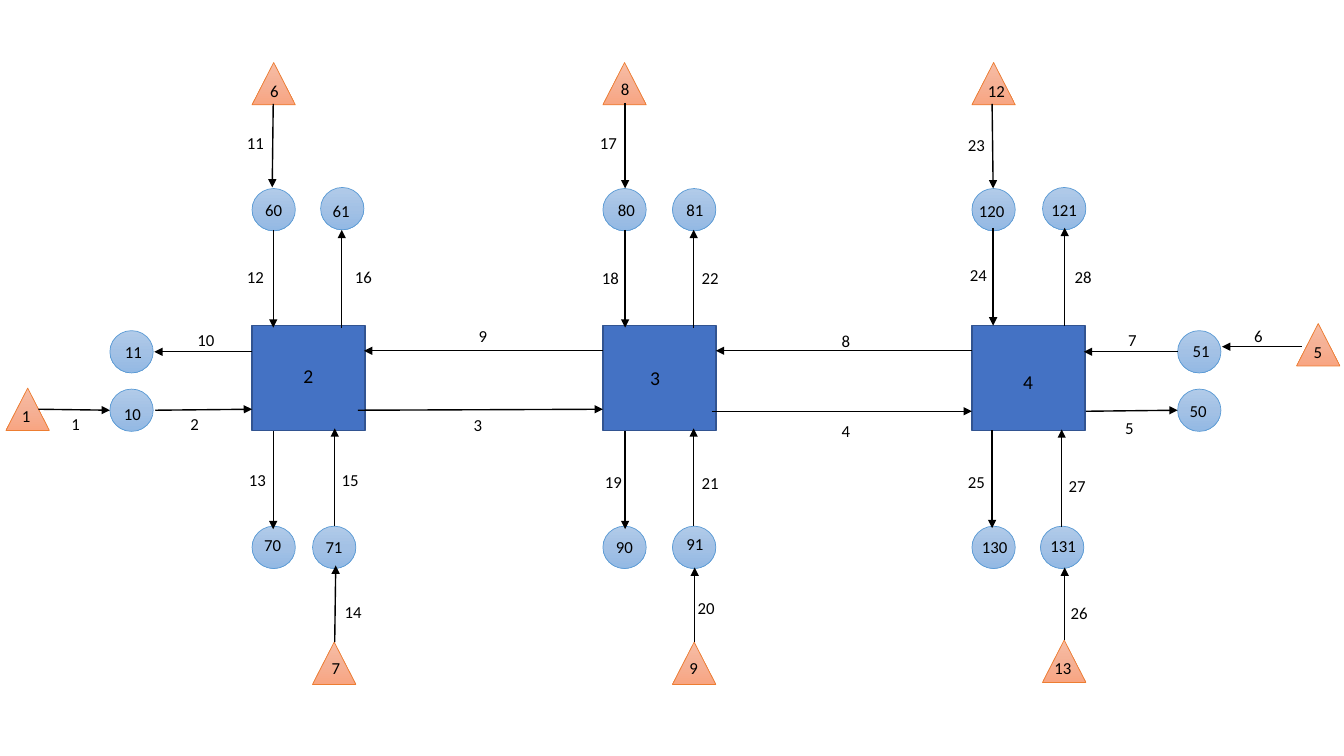
"""Build a slide with a numbered network of junctions, nodes and sources."""
from copy import deepcopy
from typing import NamedTuple

from lxml.etree import SubElement
from pptx import Presentation
from pptx.dml.color import RGBColor
from pptx.enum.shapes import MSO_CONNECTOR, MSO_SHAPE as SHAPE
from pptx.enum.text import MSO_AUTO_SIZE
from pptx.oxml.ns import qn
from pptx.util import Emu, Pt

PX = 9144
LABEL_WIDTHS = {1: 23, 2: 42, 3: 56}


class Style(NamedTuple):
    shape: SHAPE
    w: int
    h: int
    fills: tuple[str, ...]
    line: str
    weight: float
    size: int = 12


class Node(NamedTuple):
    style: Style
    x: int
    y: int
    text: str
    tx: int
    ty: int


class Link(NamedTuple):
    x1: int
    y1: int
    x2: int
    y2: int
    tx: int
    ty: int


SQUARE = Style(SHAPE.RECTANGLE, 112, 104, ("4472C4",), "325491", 1, 14)
CIRCLE = Style(SHAPE.FLOWCHART_CONNECTOR, 43, 42, ("B1CBE9", "A3C1E5", "93B9E4"), "5B9BD5", 0.5)
TRIANGLE = Style(SHAPE.ISOSCELES_TRIANGLE, 43, 42, ("F7BDA5", "F5B196", "F8A582"), "ED7D31", 0.5)

NODES = [
    Node(SQUARE, 250, 323, "2", 291, 356),
    Node(SQUARE, 598, 323, "3", 635, 358),
    Node(SQUARE, 964, 323, "4", 1005, 362),
    Node(CIRCLE, 109, 386, "10", 113, 396),
    Node(CIRCLE, 109, 328, "11", 114, 334),
    Node(CIRCLE, 1168, 386, "50", 1170, 393),
    Node(CIRCLE, 1168, 328, "51", 1173, 333),
    Node(CIRCLE, 250, 187, "60", 253, 193),
    Node(CIRCLE, 318, 186, "61", 320, 194),
    Node(CIRCLE, 250, 522, "70", 252, 526),
    Node(CIRCLE, 310, 522, "71", 313, 528),
    Node(CIRCLE, 598, 187, "80", 603, 193),
    Node(CIRCLE, 667, 187, "81", 671, 193),
    Node(CIRCLE, 598, 522, "90", 601, 528),
    Node(CIRCLE, 667, 522, "91", 671, 525),
    Node(CIRCLE, 964, 187, "120", 961, 194),
    Node(CIRCLE, 1034, 186, "121", 1033, 193),
    Node(CIRCLE, 964, 522, "130", 964, 528),
    Node(CIRCLE, 1032, 522, "131", 1032, 527),
    Node(TRIANGLE, 6, 385, "1", 12, 398),
    Node(TRIANGLE, 1286, 321, "5", 1293, 334),
    Node(TRIANGLE, 250, 62, "6", 258, 75),
    Node(TRIANGLE, 310, 637, "7", 319, 648),
    Node(TRIANGLE, 598, 62, "8", 606, 73),
    Node(TRIANGLE, 667, 637, "9", 674, 648),
    Node(TRIANGLE, 964, 62, "12", 970, 75),
    Node(TRIANGLE, 1034, 635, "13", 1036, 648),
]

LINKS = [
    Link(38, 406, 109, 407, 61, 406),
    Link(154, 407, 250, 406, 179, 406),
    Link(355, 407, 598, 406, 460, 407),
    Link(706, 408, 964, 408, 825, 412),
    Link(1077, 408, 1168, 407, 1106, 410),
    Link(1291, 344, 1212, 344, 1234, 318),
    Link(1168, 349, 1075, 349, 1109, 322),
    Link(964, 348, 710, 348, 825, 323),
    Link(598, 348, 361, 348, 465, 318),
    Link(250, 349, 153, 349, 186, 322),
    Link(271, 103, 270, 186, 235, 127),
    Link(271, 228, 271, 325, 235, 260),
    Link(271, 428, 271, 525, 237, 461),
    Link(332, 637, 333, 561, 332, 592),
    Link(332, 522, 332, 425, 329, 461),
    Link(339, 325, 339, 228, 342, 260),
    Link(620, 102, 620, 187, 585, 127),
    Link(620, 228, 620, 325, 587, 261),
    Link(620, 428, 620, 525, 590, 463),
    Link(689, 637, 689, 563, 682, 588),
    Link(688, 522, 688, 425, 686, 464),
    Link(688, 325, 688, 228, 686, 261),
    Link(984, 103, 985, 187, 950, 129),
    Link(985, 226, 985, 323, 952, 258),
    Link(984, 427, 984, 524, 950, 463),
    Link(1056, 635, 1056, 563, 1052, 593),
    Link(1053, 523, 1053, 426, 1050, 467),
    Link(1056, 323, 1056, 226, 1056, 260),
]


def px(*lengths: int) -> list[Emu]:
    """Turn px lengths into EMU."""
    return [Emu(n * PX) for n in lengths]


def rgb(colour: str) -> RGBColor:
    """Turn a hex string into a colour."""
    return RGBColor.from_string(colour)


def paint(sp, fills: tuple[str, ...]) -> None:
    """Fill a shape with one colour or an even downward gradient."""
    if len(fills) == 1:
        sp.fill.solid()
        sp.fill.fore_color.rgb = rgb(fills[0])
        return
    sp.fill.gradient()
    sp.fill.gradient_angle = 270
    stops = sp._element.spPr.find(qn("a:gradFill")).find(qn("a:gsLst"))
    for _ in fills[2:]:
        stops.append(deepcopy(stops[0]))
    for i, (stop, colour) in enumerate(zip(sp.fill.gradient_stops, fills)):
        stop.position = i / (len(fills) - 1)
        stop.color.rgb = rgb(colour)


def add_node(slide, node: Node) -> None:
    """Draw the outline of a node."""
    style = node.style
    sp = slide.shapes.add_shape(style.shape, *px(node.x, node.y, style.w, style.h))
    sp.shadow.inherit = False
    paint(sp, style.fills)
    sp.line.color.rgb = rgb(style.line)
    sp.line.width = Pt(style.weight)


def add_link(slide, link: Link) -> None:
    """Draw an arrow between two points."""
    line = slide.shapes.add_connector(
        MSO_CONNECTOR.STRAIGHT, *px(link.x1, link.y1, link.x2, link.y2))
    line.line.color.rgb = rgb("000000")
    line.line.width = Pt(1)
    SubElement(line.line._get_or_add_ln(), qn("a:tailEnd"), type="triangle")
    SubElement(line._element.spPr, qn("a:effectLst"))


def add_text(slide, text: str, x: int, y: int, *, size: int = 12,
             font: str = "Calibri", colour: str = "000000") -> None:
    """Write a left-aligned label in a box sized by its text."""
    width, height = LABEL_WIDTHS[len(text)], 30 if size == 12 else 34
    tf = slide.shapes.add_textbox(*px(x, y, width, height)).text_frame
    tf.word_wrap = True
    tf.auto_size = MSO_AUTO_SIZE.SHAPE_TO_FIT_TEXT
    tf.margin_right = 0
    r = tf.paragraphs[0].add_run()
    r.text = text
    r.font.size = Pt(size)
    r.font.name = font
    r.font.color.rgb = rgb(colour)


def main() -> None:
    """Build and save the network slide."""
    prs = Presentation()
    prs.slide_width, prs.slide_height = px(1333, 750)
    slide = prs.slides.add_slide(prs.slide_layouts[6])
    for node in NODES:
        add_node(slide, node)
    for link in LINKS:
        add_link(slide, link)
    for node in NODES:
        add_text(slide, node.text, node.tx, node.ty, size=node.style.size)
    for number, link in enumerate(LINKS, 1):
        add_text(slide, str(number), link.tx, link.ty)
    prs.save("out.pptx")


if __name__ == "__main__":
    main()
